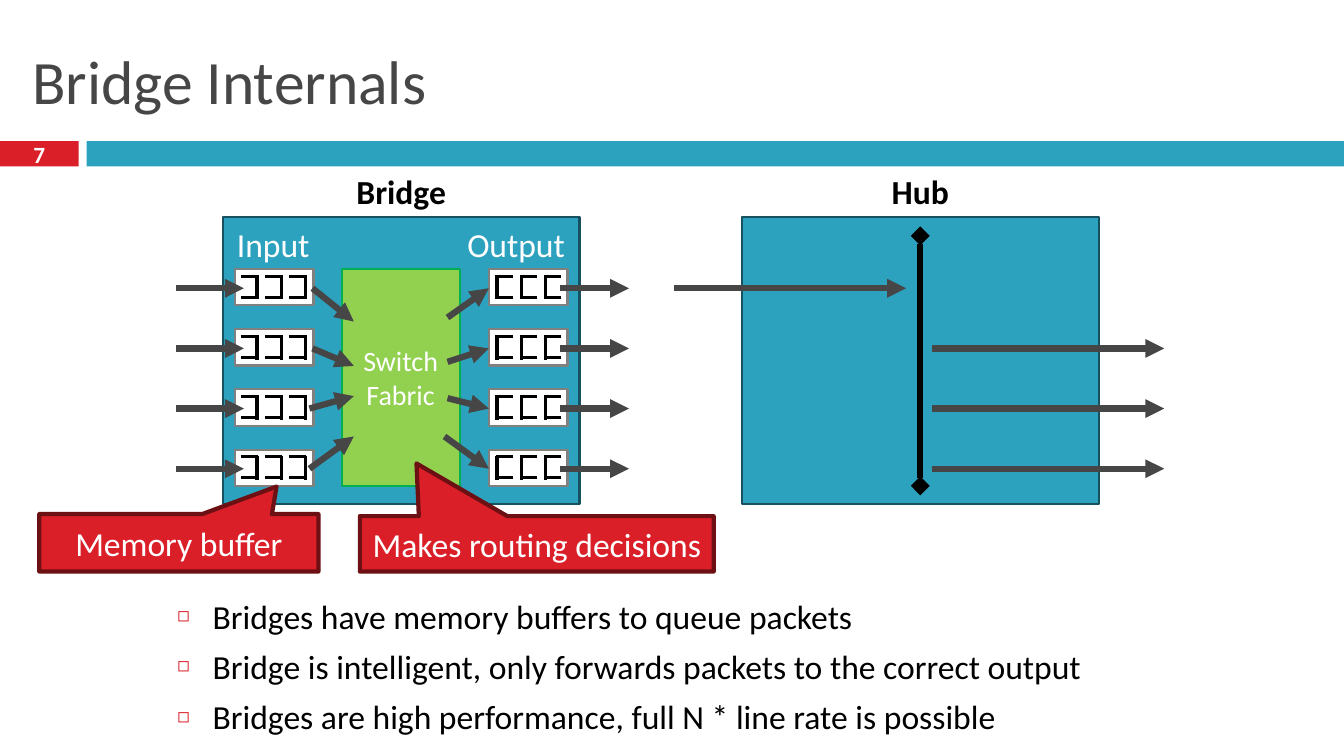
import collections

import lxml.etree
import pptx
import pptx.dml.color
import pptx.enum.shapes
import pptx.enum.text
import pptx.oxml.ns
import pptx.util

SHAPE = pptx.enum.shapes.MSO_SHAPE
ALIGN = pptx.enum.text.PP_ALIGN
ANCHOR = pptx.enum.text.MSO_ANCHOR
qn = pptx.oxml.ns.qn

# The slide is a grid of 40 columns by 22.5 rows of square cells
COLUMNS, ROWS = 40, 22.5
CELL = pptx.util.Inches(13.33) / COLUMNS
Box = collections.namedtuple("Box", "left top width height")

FONT = "Calibri"
WHITE, BLACK, GRAY = "FFFFFF", "000000", "464646"
TEAL, RED = "2DA2BF", "DA1F28"

# Lanes shared by bridge and hub, in rows below the top of the device
LANE_TOPS = [1.56 + 1.79 * lane for lane in range(4)]
LANE_LINES = [top + 0.57 for top in LANE_TOPS]


def color(hex_string):
    return pptx.dml.color.RGBColor.from_string(hex_string)


def cells(*counts):
    return [pptx.util.Emu(round(count * CELL)) for count in counts]


def inside(box, left, top, width, height):
    return Box(box.left + left, box.top + top, width, height)


def write(paragraph, text, size, ink, bold=False, align=ALIGN.CENTER):
    paragraph.alignment = align
    run = paragraph.add_run()
    run.text = text
    run.font.name = FONT
    run.font.size = pptx.util.Pt(size)
    run.font.bold = bold
    run.font.color.rgb = color(ink)


def add_block(parts, box, fill, edge=None, weight=1.5, kind=SHAPE.RECTANGLE):
    block = parts.add_shape(kind, *cells(*box))
    block.shadow.inherit = False
    block.fill.solid()
    block.fill.fore_color.rgb = color(fill)
    if edge:
        block.line.color.rgb = color(edge)
        block.line.width = pptx.util.Pt(weight)
    else:
        block.line.fill.background()
    return block


def write_block(block, text, size, bold=False, inset=0.0):
    frame = block.text_frame
    frame.word_wrap = True
    frame.vertical_anchor = ANCHOR.MIDDLE
    frame.margin_left = frame.margin_right = pptx.util.Inches(inset)
    frame.margin_top = frame.margin_bottom = 0
    write(frame.paragraphs[0], text, size, WHITE, bold)


def add_label(parts, box, text, ink, bold=False):
    frame = parts.add_textbox(*cells(*box)).text_frame
    frame.word_wrap = True
    write(frame.paragraphs[0], text, 24, ink, bold)


def add_line(parts, box, start, end, ink=GRAY, weight=4.5, head=None, tail=None):
    points = [box.left + start[0], box.top + start[1], box.left + end[0], box.top + end[1]]
    line = parts.add_connector(pptx.enum.shapes.MSO_CONNECTOR.STRAIGHT, *cells(*points))
    line.line.color.rgb = color(ink)
    line.line.width = pptx.util.Pt(weight)
    properties = line.element.spPr
    outline = properties.find(qn("a:ln"))
    for tag, tip in (("a:headEnd", head), ("a:tailEnd", tail)):
        if tip:
            lxml.etree.SubElement(outline, qn(tag), type=tip)
    lxml.etree.SubElement(properties, qn("a:effectLst"))


def add_arrow(parts, box, start, end):
    add_line(parts, box, start, end, tail="triangle")


def place(placeholder, box):
    placeholder.left, placeholder.top, placeholder.width, placeholder.height = cells(*box)
    placeholder.text_frame.auto_size = pptx.enum.text.MSO_AUTO_SIZE.NONE
    return placeholder.text_frame


def add_header(slide, box, title, number):
    frame = place(slide.shapes.title, inside(box, 0.66, 0.75, 38.67, 3.24))
    frame.vertical_anchor = ANCHOR.MIDDLE
    write(frame.paragraphs[0], title, 44, GRAY, align=ALIGN.LEFT)
    number_bar = add_block(slide.shapes, inside(box, 0, 4.2, 2.34, 0.75), RED)
    write_block(number_bar, number, 16.6, bold=True)
    add_block(slide.shapes, inside(box, 2.58, 4.2, box.width - 2.58, 0.75), TEAL)


def add_device(parts, box, name):
    add_block(parts, box, TEAL, "175160")
    add_label(parts, inside(box, 0, -1.5, box.width, 1.5), name, BLACK, bold=True)


def add_queue(parts, box, mirrored):
    """A memory buffer holding three bracket-shaped packets."""
    add_block(parts, box, WHITE, "808080")
    packets = parts.add_group_shape().shapes

    def stroke(start, end):
        if mirrored:
            start, end = [(box.width - x, y) for x, y in (start, end)]
        add_line(packets, box, start, end, BLACK, 2.25)

    for offset in (0, 0.72, 1.44):
        stroke((offset + 0.18, 0.21), (offset + 0.69, 0.21))
        stroke((offset + 0.66, 0.18), (offset + 0.66, 0.9))
        stroke((offset + 0.18, 0.84), (offset + 0.69, 0.84))


def add_bridge(parts, box):
    add_device(parts, box, "Bridge")
    fabric = add_block(parts, inside(box, 3.54, 1.56, 3.51, 6.45), "92D050", "00B050")
    write_block(fabric, "Switch Fabric", 20, inset=0.1)
    add_label(parts, inside(box, 0.06, 0.06, 2.88, 1.5), "Input", WHITE)
    add_label(parts, inside(box, 6.87, 0.06, 3.72, 1.5), "Output", WHITE)

    # Queues on both sides, with the lines that enter and leave them
    for top, lane in zip(LANE_TOPS, LANE_LINES):
        add_queue(parts, inside(box, 0.36, top, 2.34, 1.08), mirrored=False)
        add_queue(parts, inside(box, 7.92, top, 2.34, 1.08), mirrored=True)
        add_arrow(parts, box, (-1.38, lane), (0.63, lane))
        add_arrow(parts, box, (10.05, lane), (12.09, lane))

    # Arrows into and out of the switch fabric
    entries = [(2.67, 3.12), (2.67, 4.44), (2.58, 5.34), (2.58, 6.54)]
    exits = [(6.69, 3), (6.69, 4.32), (6.69, 5.4), (6.6, 6.54)]
    for lane, (queue_x, fabric_y), leave in zip(LANE_LINES, entries, exits):
        add_arrow(parts, box, (queue_x, lane), (3.9, fabric_y))
        add_arrow(parts, box, leave, (7.92, lane))


def add_hub(parts, box):
    add_device(parts, box, "Hub")
    middle = box.width / 2
    add_line(parts, box, (middle, 0.57), (middle, 8.01), BLACK, head="diamond", tail="diamond")
    add_arrow(parts, box, (-2.01, LANE_LINES[0]), (4.89, LANE_LINES[0]))
    for lane in LANE_LINES[1:]:
        add_arrow(parts, box, (5.67, lane), (12.57, lane))


def add_callout(parts, box, text, tip):
    callout = add_block(parts, box, RED, "6D1014", 3, SHAPE.RECTANGULAR_CALLOUT)
    callout.adjustments[0], callout.adjustments[1] = tip
    write_block(callout, text, 24)


def add_bullets(placeholder, box, points):
    frame = place(placeholder, box)
    for index, point in enumerate(points):
        paragraph = frame.add_paragraph() if index else frame.paragraphs[0]
        write(paragraph, point, 24, BLACK, align=ALIGN.LEFT)
        paragraph.space_before = pptx.util.Pt(7)
        properties = paragraph._p.get_or_add_pPr()
        indent = pptx.util.Inches(0.35)
        properties.set("marL", str(indent))
        properties.set("indent", str(-indent))
        ink = lxml.etree.SubElement(properties, qn("a:buClr"))
        lxml.etree.SubElement(ink, qn("a:srgbClr"), val=RED)
        lxml.etree.SubElement(properties, qn("a:buSzPct"), val="60000")
        lxml.etree.SubElement(properties, qn("a:buChar"), char="\u25fb")


deck = pptx.Presentation()
deck.slide_width, deck.slide_height = cells(COLUMNS, ROWS)
slide = deck.slides.add_slide(deck.slide_layouts[1])

add_header(slide, Box(0, 0, COLUMNS, 4.95), "Bridge Internals", "7")
add_bullets(slide.placeholders[1], Box(4.98, 17.58, 30, 4.83), [
    "Bridges have memory buffers to queue packets",
    "Bridge is intelligent, only forwards packets to the correct output",
    "Bridges are high performance, full N * line rate is possible",
])
add_bridge(slide.shapes, Box(6.63, 6.45, 10.62, 8.55))
add_callout(slide.shapes, Box(10.71, 15.36, 10.53, 1.65), "Makes routing decisions", (-0.34, -1.45))
add_hub(slide.shapes, Box(22.08, 6.45, 10.62, 8.55))
add_callout(slide.shapes, Box(1.17, 15.3, 8.31, 1.71), "Memory buffer", (0.35, -0.98))

deck.save("out.pptx")
